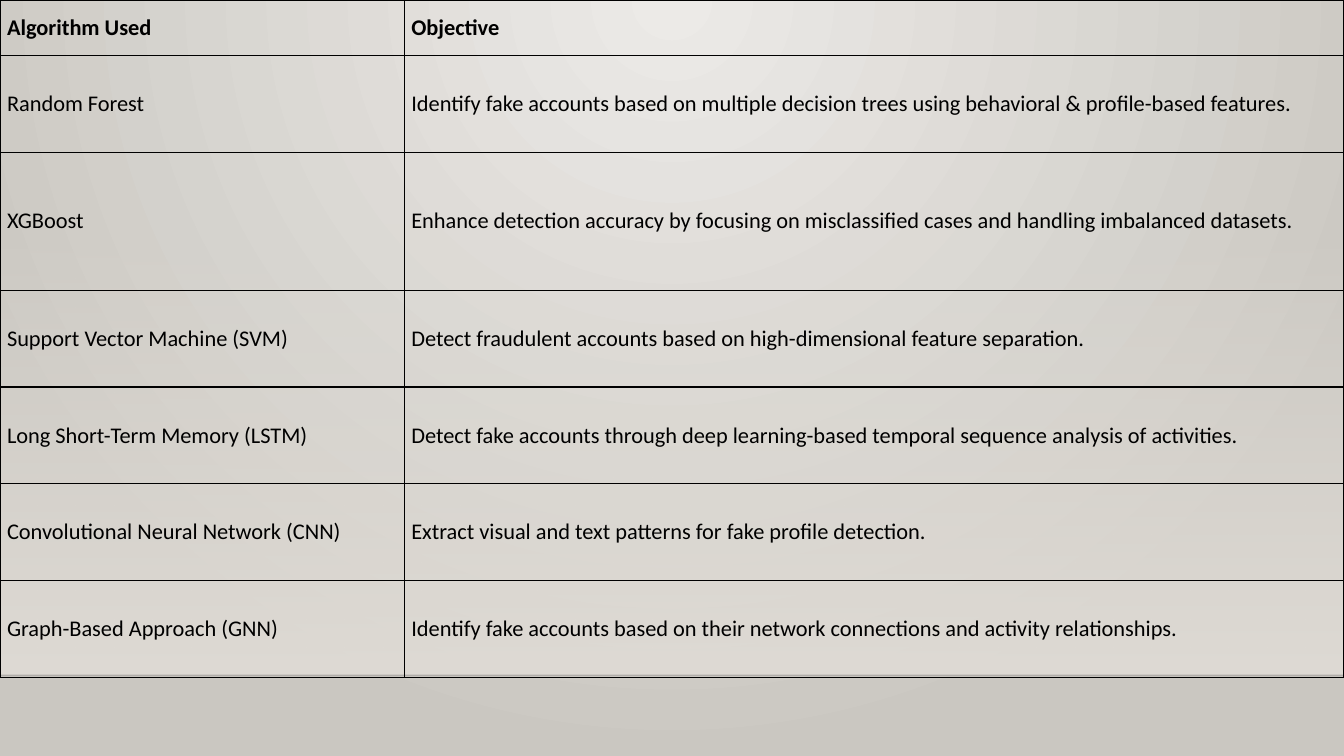
from lxml import etree
from pptx import Presentation
from pptx.dml.color import RGBColor
from pptx.enum.shapes import MSO_CONNECTOR, MSO_SHAPE
from pptx.enum.text import MSO_ANCHOR
from pptx.oxml.ns import qn
from pptx.util import Inches, Pt

WIDTH, HEIGHT = Inches(13.33), Inches(7.5)
BLACK = RGBColor(0x00, 0x00, 0x00)
RULE = RGBColor(0x00, 0x00, 0x01)
GLOW = RGBColor(0xEC, 0xEA, 0xE7)
EDGE = RGBColor(0xCA, 0xC7, 0xC1)
FLOOR = RGBColor(0xDF, 0xDB, 0xD5)

FLOOR_TOP, FLOOR_BOTTOM = Inches(2.21), Inches(6.7)
COLUMNS = (4.01, 9.32)
HEADER_ROW, BODY_ROW, TALL_ROW = 0.55, 0.96, 1.37
ROWS = (
    (HEADER_ROW, "Algorithm Used", "Objective"),
    (BODY_ROW, "Random Forest",
     "Identify fake accounts based on multiple decision trees using "
     "behavioral & profile-based features."),
    (TALL_ROW, "XGBoost",
     "Enhance detection accuracy by focusing on misclassified cases and "
     "handling imbalanced datasets."),
    (BODY_ROW, "Support Vector Machine (SVM)",
     "Detect fraudulent accounts based on high-dimensional feature separation."),
    (BODY_ROW, "Long Short-Term Memory (LSTM)",
     "Detect fake accounts through deep learning-based temporal sequence "
     "analysis of activities."),
    (BODY_ROW, "Convolutional Neural Network (CNN)",
     "Extract visual and text patterns for fake profile detection."),
    (BODY_ROW, "Graph-Based Approach (GNN)",
     "Identify fake accounts based on their network connections and activity "
     "relationships."),
)


def set_gradient(fill, start, end):
    fill.gradient()
    for stop, color, position in zip(fill.gradient_stops, (start, end), (0, 1)):
        stop.color.rgb = color
        stop.position = position


def set_alpha(element, percent):
    """Make the first RGB colour inside element partly transparent."""
    color = next(element.iter(qn("a:srgbClr")))
    etree.SubElement(color, qn("a:alpha"), val=str(percent * 1000))


def add_background(s):
    set_gradient(s.background.fill, GLOW, EDGE)
    grad = next(s.element.iter(qn("a:gradFill")))
    grad.remove(grad.find(qn("a:lin")))
    circle = etree.SubElement(grad, qn("a:path"), path="circle")
    etree.SubElement(circle, qn("a:fillToRect"),
                     l="43000", t="0", r="43000", b="100000")


def add_floor(s):
    """Add the band that fades in downwards, and the rule under it."""
    sp = s.shapes.add_shape(MSO_SHAPE.RECTANGLE, 0, FLOOR_TOP,
                            WIDTH, FLOOR_BOTTOM - FLOOR_TOP)
    sp.shadow.inherit = False
    sp.line.fill.background()
    set_gradient(sp.fill, FLOOR, FLOOR)
    sp.fill.gradient_angle = 270
    set_alpha(sp.element.spPr, 0)

    rule = s.shapes.add_connector(MSO_CONNECTOR.STRAIGHT, 0, FLOOR_BOTTOM,
                                  WIDTH, FLOOR_BOTTOM)
    rule.line.color.rgb = RULE
    rule.line.width = Pt(1)
    set_alpha(rule.element.spPr, 20)
    etree.SubElement(rule.element.spPr, qn("a:effectLst"))


def add_borders(cell):
    tc_pr = cell._tc.get_or_add_tcPr()
    for i, side in enumerate(("a:lnL", "a:lnR", "a:lnT", "a:lnB")):
        ln = etree.Element(qn(side), w=str(Pt(1)))
        solid = etree.SubElement(ln, qn("a:solidFill"))
        etree.SubElement(solid, qn("a:srgbClr"), val=str(BLACK))
        tc_pr.insert(i, ln)


def fill_cell(cell, text, bold):
    cell.text = text
    cell.vertical_anchor = MSO_ANCHOR.MIDDLE
    cell.margin_left = cell.margin_right = Inches(0.07)
    cell.margin_top = cell.margin_bottom = Inches(0.03)
    cell.fill.background()
    font = cell.text_frame.paragraphs[0].font
    font.name, font.size, font.bold = "Calibri", Pt(16), bold
    font.color.rgb = BLACK
    add_borders(cell)


def add_algorithm_table(s):
    height = Inches(sum(row[0] for row in ROWS))
    table = s.shapes.add_table(len(ROWS), len(COLUMNS), 0, 0, WIDTH, height).table
    table.first_row = table.horz_banding = False
    for column, width in zip(table.columns, COLUMNS):
        column.width = Inches(width)
    for i, (row_height, *texts) in enumerate(ROWS):
        table.rows[i].height = Inches(row_height)
        for j, text in enumerate(texts):
            fill_cell(table.cell(i, j), text, bold=i == 0)


def main():
    prs = Presentation()
    prs.slide_width, prs.slide_height = WIDTH, HEIGHT
    s = prs.slides.add_slide(prs.slide_layouts[6])
    add_background(s)
    add_floor(s)
    add_algorithm_table(s)
    prs.save("out.pptx")


if __name__ == "__main__":
    main()
